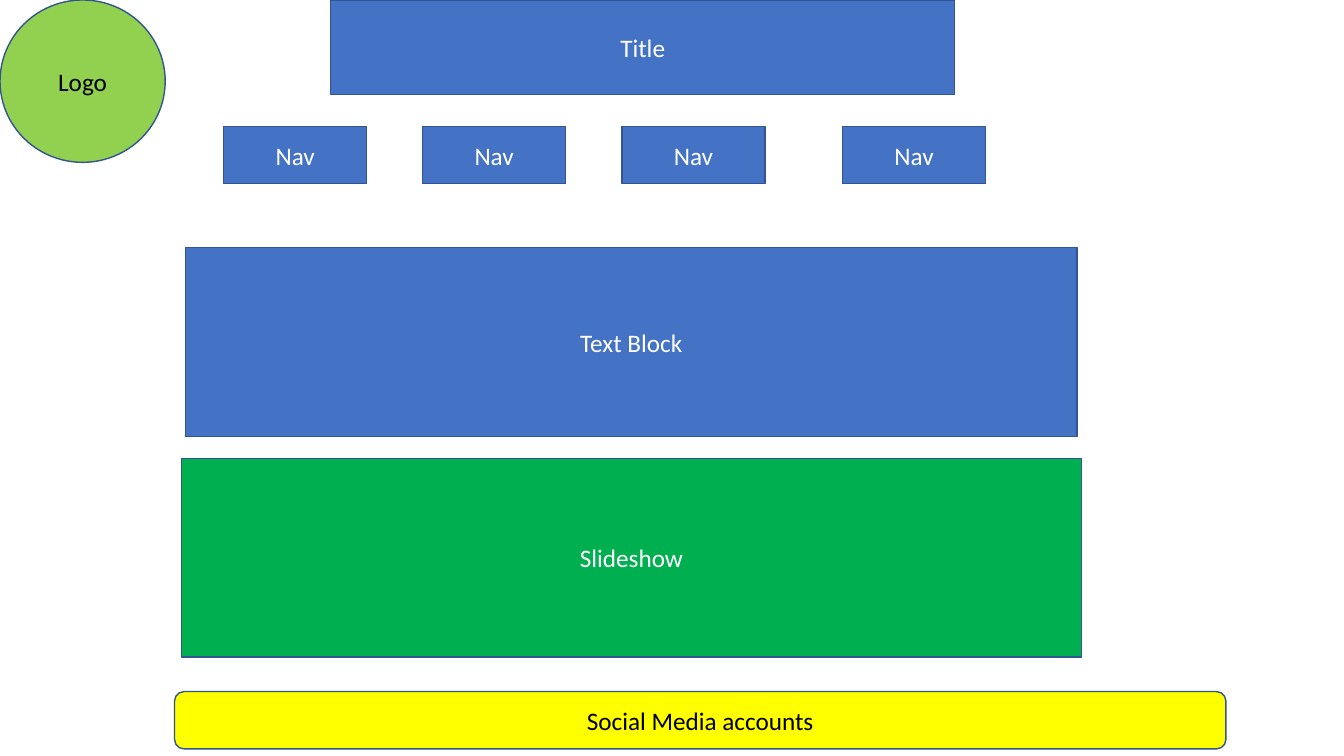
from pptx import Presentation
from pptx import util as u
from pptx.dml import color
from pptx.enum import shapes, text

COLOURS = {
    "blue": "4472C4",
    "outline": "325491",
    "lime": "92D050",
    "green": "00B050",
    "yellow": "FFFF00",
    "white": "FFFFFF",
    "black": "000000",
}


class Wireframe:
    """Draws labelled page blocks, measured in points, on one slide."""

    font_format = {"name": "Calibri", "size": u.Pt(18)}
    frame_format = {"word_wrap": True, "vertical_anchor": text.MSO_ANCHOR.MIDDLE}

    def __init__(self, slide):
        self.slide = slide

    def colour(self, name):
        return color.RGBColor.from_string(COLOURS[name])

    def apply(self, target, values):
        for name, value in values.items():
            setattr(target, name, value)

    def block(self, label, left, top, width, height, fill="blue", ink="white",
              kind=shapes.MSO_SHAPE.RECTANGLE):
        shape = self.slide.shapes.add_shape(
            kind, u.Pt(left), u.Pt(top), u.Pt(width), u.Pt(height))
        shape.shadow.inherit = False
        shape.fill.solid()
        shape.fill.fore_color.rgb = self.colour(fill)
        shape.line.color.rgb = self.colour("outline")
        shape.line.width = u.Pt(1)
        self.apply(shape.text_frame, self.frame_format)
        paragraph = shape.text_frame.paragraphs[0]
        paragraph.alignment = text.PP_ALIGN.CENTER
        run = paragraph.add_run()
        run.text = label
        self.apply(run.font, self.font_format)
        run.font.color.rgb = self.colour(ink)


def main():
    presentation = Presentation()
    presentation.slide_width = u.Pt(960)
    presentation.slide_height = u.Pt(540)
    page = Wireframe(presentation.slides.add_slide(presentation.slide_layouts[6]))

    page.block("Logo", 0, 0, 118, 116, "lime", "black", shapes.MSO_SHAPE.OVAL)
    page.block("Title", 236.2, 0, 445.7, 67.6)
    for nav_left in (159.7, 301.8, 444.2, 601.8):
        page.block("Nav", nav_left, 90.3, 102.3, 40.8)
    page.block("Text Block", 132.5, 176.7, 636.8, 135.2)
    page.block("Slideshow", 129.6, 327.6, 643, 141.7, "green")
    page.block("Social Media accounts", 124.7, 494, 751, 41, "yellow", "black",
               shapes.MSO_SHAPE.ROUNDED_RECTANGLE)

    presentation.save("out.pptx")


if __name__ == "__main__":
    main()
